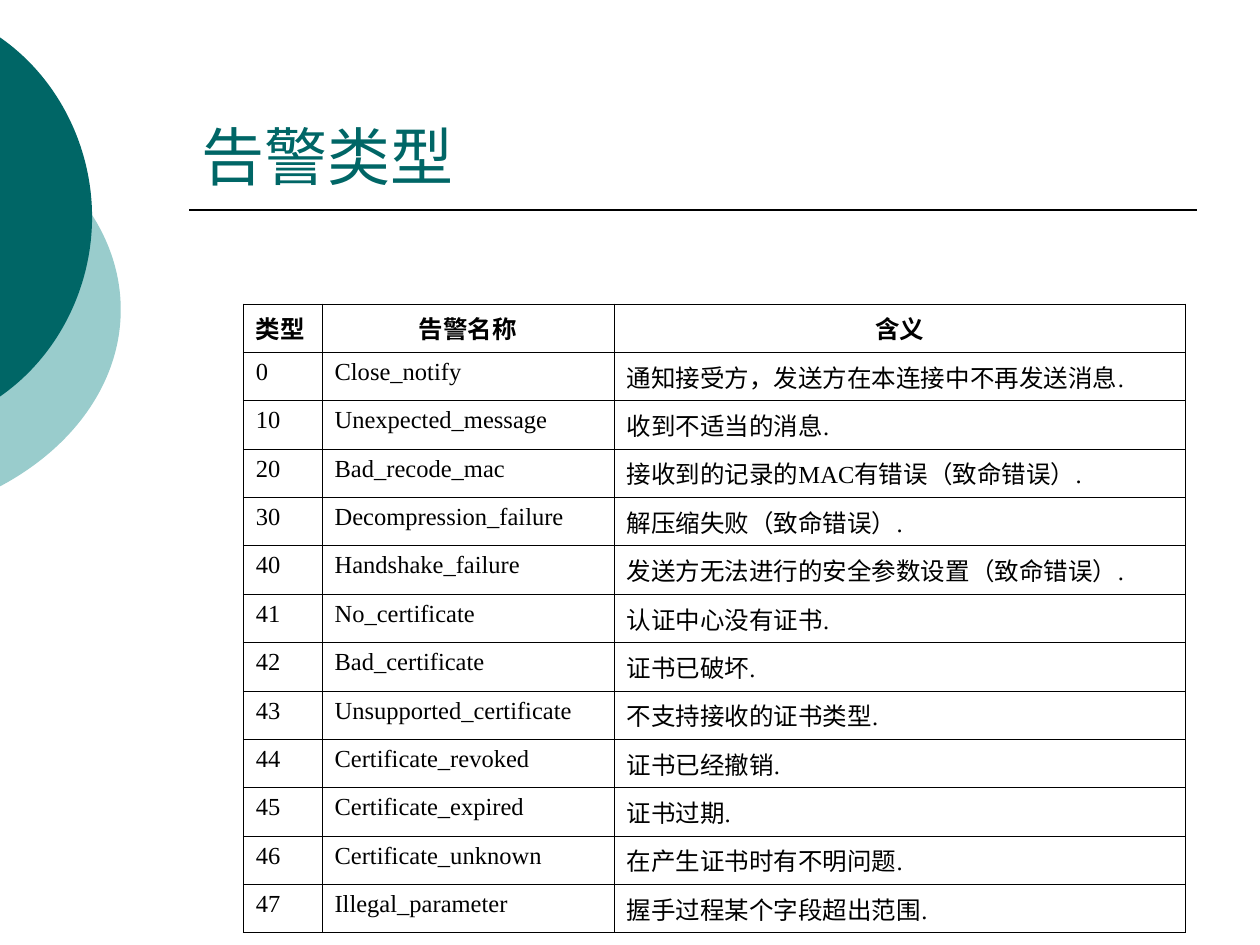
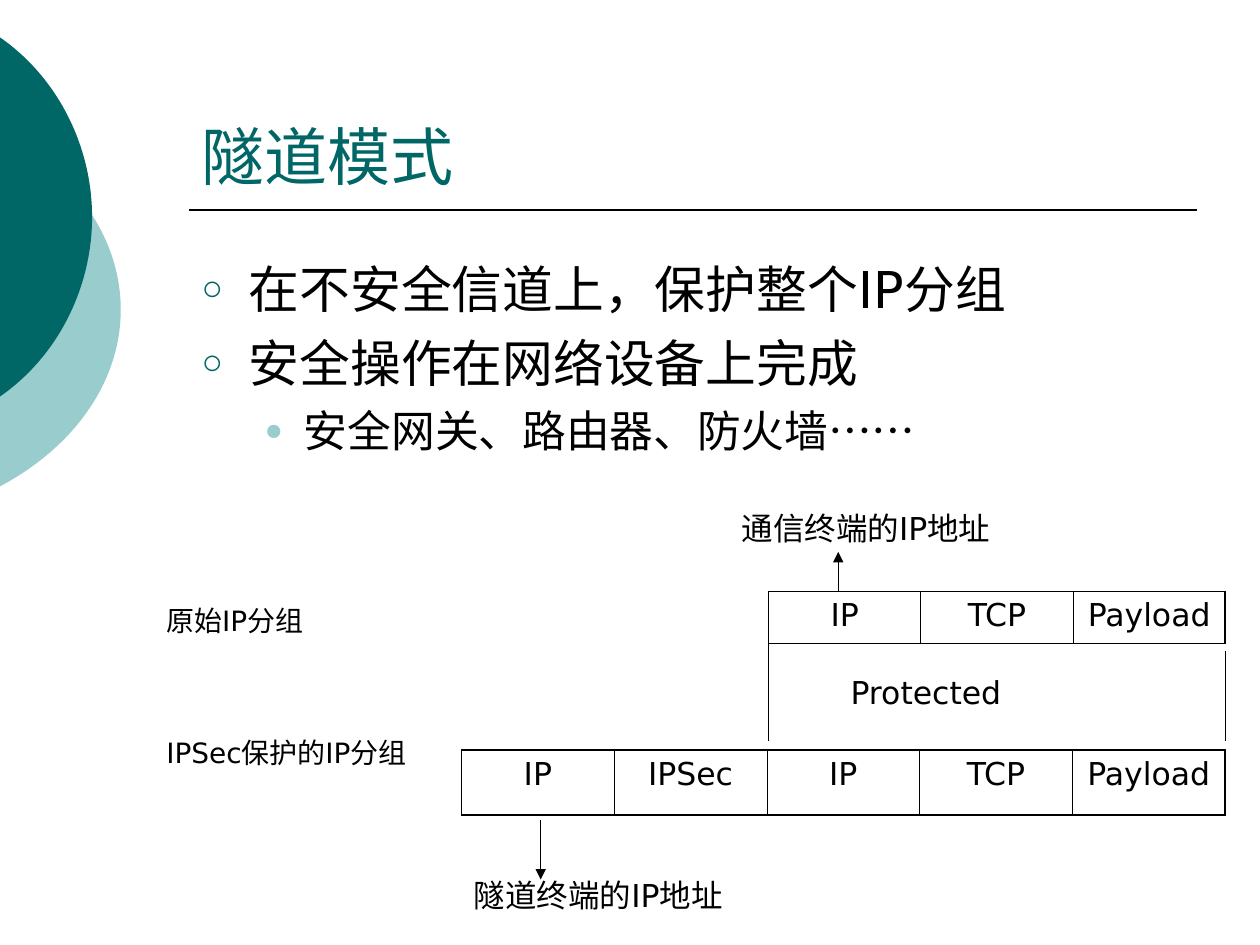
"""Build two slides on secure transport: the alert type table and tunnel mode."""
from pptx import Presentation
from pptx.dml.color import RGBColor
from pptx.enum.shapes import MSO_CONNECTOR as Connector
from pptx.enum.text import MSO_ANCHOR as Anchor, MSO_AUTO_SIZE as AutoSize, PP_ALIGN as Align
from pptx.oxml.ns import qn
from pptx.util import Pt
from lxml.etree import SubElement, Element

TEAL, PALE, BLACK = "006666", "99CCCC", "000000"
SANS, TITLE_FONT, SERIF = "DejaVu Sans", "Arial", "Times New Roman"
THIN, THICK = 0.45, 1.08

DISCS = [
    dict(frame=(-255, 54, 324, 246), middle=177, reach=101, bulge=43.2, color=PALE),
    dict(frame=(-190.8, 0, 243.4, 248.4), middle=124, reach=102.6, bulge=33.1, color=TEAL),
]
EDGE_PULL, TIP_PULL = 23, 40.4

ALERT_TITLE = "告警类型"
ALERT_WIDTHS = [45, 166.8, 326.8]
ALERTS = [
    ("类型", "告警名称", "含义"),
    ("0", "Close_notify", "通知接受方，发送方在本连接中不再发送消息."),
    ("10", "Unexpected_message", "收到不适当的消息."),
    ("20", "Bad_recode_mac", "接收到的记录的MAC有错误（致命错误）."),
    ("30", "Decompression_failure", "解压缩失败（致命错误）."),
    ("40", "Handshake_failure", "发送方无法进行的安全参数设置（致命错误）."),
    ("41", "No_certificate", "认证中心没有证书."),
    ("42", "Bad_certificate", "证书已破坏."),
    ("43", "Unsupported_certificate", "不支持接收的证书类型."),
    ("44", "Certificate_revoked", "证书已经撤销."),
    ("45", "Certificate_expired", "证书过期."),
    ("46", "Certificate_unknown", "在产生证书时有不明问题."),
    ("47", "Illegal_parameter", "握手过程某个字段超出范围."),
]

TUNNEL_TITLE = "隧道模式"
POINTS = [
    (0, ["在不安全信道上，保护整个IP分组"]),
    (0, ["安全操作在网络设备上完成"]),
    (1, ["安全网关、路由器、防火墙", "……"]),
]
LEVELS = [
    dict(size=29, before=7.3, margin=27, hang=27, bullet="○", color=TEAL),
    dict(size=25, before=6.2, margin=58.5, hang=22.5, bullet="●", color=PALE),
]
PACKET_RIGHT = 700.2
PACKETS = [
    (338, 29.8, 87, ["IP", "TCP", "Payload"]),
    (428.4, 37.5, 87.3, ["IP", "IPSec", "IP", "TCP", "Payload"]),
]
LABELS = [
    ("原始IP分组", 88, 341.5, 102, 26.5, 16),
    ("IPSec保护的IP分组", 88, 417, 158.5, 46, 16),
    ("Protected", 479, 381, 124.5, 29, 18),
    ("通信终端的IP地址", 416.7, 287.5, 170, 29, 18),
    ("隧道终端的IP地址", 263.7, 497, 221, 29, 18),
]
GUIDES = [(439.2, 366.5, 423.2, False), (700.4, 372, 423.2, False),
          (479, 337.7, 315.4, True), (309, 468.7, 502.6, True)]


def rgb(color):
    """Turn a hex string into a colour."""
    return RGBColor.from_string(color)


def style(paragraph, size, face=SANS, color=BLACK, before=0, align=Align.LEFT, bold=False):
    """Format a whole paragraph."""
    paragraph.space_before = Pt(before)
    paragraph.alignment = align
    font = paragraph.font
    font.size, font.name, font.bold = Pt(size), face, bold
    font.color.rgb = rgb(color)


def add_rule(slide, x1, y1, x2, y2, width=0.75, arrow=False):
    """Draw a straight black line, with an arrowhead at its end if asked."""
    rule = slide.shapes.add_connector(Connector.STRAIGHT, Pt(x1), Pt(y1), Pt(x2), Pt(y2))
    rule.line.width = Pt(width)
    rule.line.color.rgb = rgb(BLACK)
    properties = rule._element.spPr
    if arrow:
        SubElement(properties.find(qn("a:ln")), qn("a:tailEnd"), type="triangle")
    SubElement(properties, qn("a:effectLst"))


def place(shape, left, top, width, height):
    """Move and size a shape."""
    shape.left, shape.top, shape.width, shape.height = map(Pt, (left, top, width, height))


def add_disc(slide, frame, middle, reach, bulge, color):
    """Draw the curved part of a disc that lies right of the slide's left edge."""
    left, top, width, height = frame
    tip, upper, lower = left + width, middle - reach, middle + reach
    outline = slide.shapes.build_freeform(0, Pt(upper))
    outline.add_line_segments([(Pt(tip), Pt(middle)), (0, Pt(lower))])
    disc = outline.convert_to_shape()
    place(disc, *frame)
    disc.shadow.inherit = False
    disc.fill.solid()
    disc.fill.fore_color.rgb = rgb(color)
    disc.line.fill.background()

    curve = next(disc._element.iter(qn("a:path")))
    curve.clear()
    curve.set("w", str(Pt(width)))
    curve.set("h", str(Pt(height)))
    strokes = [
        ("moveTo", [(0, upper)]),
        ("cubicBezTo", [(bulge, upper + EDGE_PULL), (tip, middle - TIP_PULL), (tip, middle)]),
        ("cubicBezTo", [(tip, middle + TIP_PULL), (bulge, lower - EDGE_PULL), (0, lower)]),
        ("close", []),
    ]
    for kind, points in strokes:
        stroke = SubElement(curve, qn(f"a:{kind}"))
        for x, y in points:
            SubElement(stroke, qn("a:pt"), x=str(Pt(x - left)), y=str(Pt(y - top)))


def new_slide(deck, layout, heading):
    """Add a slide with the shared discs, title and rule."""
    slide = deck.slides.add_slide(deck.slide_layouts[layout])
    for disc in DISCS:
        add_disc(slide, **disc)
    add_rule(slide, 108, 120, 684, 120, 1)
    title = slide.shapes.title
    place(title, 108, 24, 576, 90)
    frame = title.text_frame
    frame.text = heading
    frame.vertical_anchor, frame.auto_size = Anchor.BOTTOM, AutoSize.NONE
    style(frame.paragraphs[0], 36, TITLE_FONT, TEAL)
    return slide


def set_borders(cell, widths):
    """Give a cell black borders, widths in the order left, right, top, bottom."""
    properties = cell._tc.get_or_add_tcPr()
    for position, (side, width) in enumerate(zip("LRTB", widths)):
        border = Element(qn(f"a:ln{side}"), w=str(Pt(width)))
        fill = SubElement(border, qn("a:solidFill"))
        SubElement(fill, qn("a:srgbClr"), val=BLACK)
        properties.insert(position, border)


def add_grid(slide, left, top, widths, row_height, rows, edge):
    """Add an unfilled table and yield row index, column index and paragraph."""
    table = slide.shapes.add_table(len(rows), len(widths), Pt(left), Pt(top),
                                   Pt(sum(widths)), Pt(row_height * len(rows))).table
    table.first_row = table.horz_banding = False
    for column, width in zip(table.columns, widths):
        column.width = Pt(width)
    last_row, last_column = len(rows) - 1, len(widths) - 1
    for r, row in enumerate(rows):
        table.rows[r].height = Pt(row_height)
        for c, text in enumerate(row):
            cell = table.cell(r, c)
            cell.text = text
            cell.fill.background()
            outer = (c == 0, c == last_column, r == 0, r == last_row)
            set_borders(cell, [edge if is_outer else THIN for is_outer in outer])
            yield r, c, cell.text_frame.paragraphs[0]


def add_alert_slide(deck):
    """Build the table of alert types."""
    slide = new_slide(deck, 5, ALERT_TITLE)
    for r, c, entry in add_grid(slide, 139, 173.7, ALERT_WIDTHS, 24, ALERTS, THIN):
        header = r == 0
        align = Align.CENTER if header and c else Align.LEFT
        style(entry, 14, SERIF, align=align, bold=header)


def add_points(slide):
    """Fill the body placeholder with the bulleted points."""
    body = slide.placeholders[1]
    place(body, 108, 143.7, 576, 126)
    frame = body.text_frame
    frame.auto_size = AutoSize.NONE
    for index, (level, parts) in enumerate(POINTS):
        point = frame.add_paragraph() if index else frame.paragraphs[0]
        look = LEVELS[level]
        point.level = level
        for part in parts:
            run = point.add_run()
            run.text = part
            if part == "……":
                run.font.name = TITLE_FONT
        properties = point._p.get_or_add_pPr()
        properties.set("marL", str(Pt(look["margin"])))
        properties.set("indent", str(-Pt(look["hang"])))
        tint = SubElement(properties, qn("a:buClr"))
        SubElement(tint, qn("a:srgbClr"), val=look["color"])
        SubElement(properties, qn("a:buSzPct"), val="70000")
        SubElement(properties, qn("a:buChar"), char=look["bullet"])
        style(point, look["size"], before=look["before"])


def add_label(slide, text, left, top, width, height, size):
    """Add a wrapped caption."""
    label = slide.shapes.add_textbox(Pt(left), Pt(top), Pt(width), Pt(height))
    frame = label.text_frame
    frame.word_wrap, frame.auto_size = True, AutoSize.SHAPE_TO_FIT_TEXT
    frame.text = text
    style(frame.paragraphs[0], size, before=size * 0.625)


def add_tunnel_slide(deck):
    """Build the tunnel mode points and packet diagram."""
    slide = new_slide(deck, 1, TUNNEL_TITLE)
    add_points(slide)
    for top, height, field_width, fields in PACKETS:
        widths = [field_width] * len(fields)
        left = PACKET_RIGHT - sum(widths)
        for _, _, field in add_grid(slide, left, top, widths, height, [fields], THICK):
            style(field, 18, before=4.5, align=Align.CENTER)
    for label in LABELS:
        add_label(slide, *label)
    for x, start, end, arrow in GUIDES:
        add_rule(slide, x, start, x, end, arrow=arrow)


def main():
    """Create and save the deck."""
    deck = Presentation()
    deck.slide_width, deck.slide_height = Pt(720), Pt(540)
    add_alert_slide(deck)
    add_tunnel_slide(deck)
    deck.save("out.pptx")


if __name__ == "__main__":
    main()
